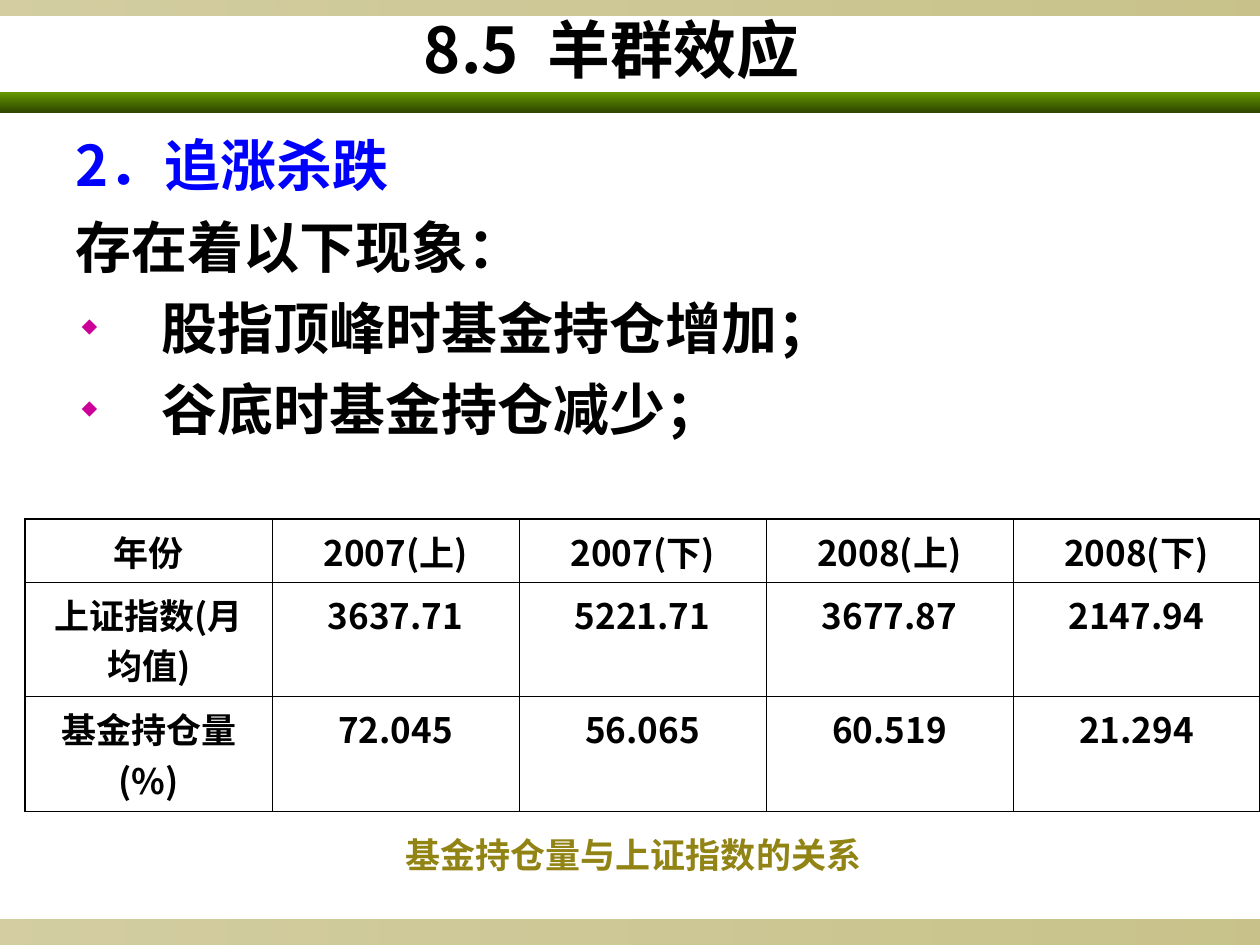
import pptx
import pptx.util
import pptx.dml.color
import pptx.enum.shapes
import pptx.enum.text
import pptx.oxml
import pptx.oxml.ns
from lxml import etree

Inches, Pt, qn = pptx.util.Inches, pptx.util.Pt, pptx.oxml.ns.qn
ALIGN = pptx.enum.text.PP_ALIGN
ANCHOR = pptx.enum.text.MSO_ANCHOR
FONT = "Noto Sans CJK SC"
BLACK, BLUE, OLIVE, MAGENTA = "000000", "0000FF", "918415", "CC0099"

RECORDS = [
    ["年份", "2007(上)", "2007(下)", "2008(上)", "2008(下)"],
    ["上证指数(月均值)", "3637.71", "5221.71", "3677.87", "2147.94"],
    ["基金持仓量(%)", "72.045", "56.065", "60.519", "21.294"],
]


def color(hex_code):
    return pptx.dml.color.RGBColor.from_string(hex_code)


def add_run(paragraph, text, size, hex_code=BLACK):
    run = paragraph.add_run()
    run.text = text
    run.font.size = Pt(size)
    run.font.bold = True
    run.font.name = FONT
    run.font.color.rgb = color(hex_code)
    east_asian = etree.SubElement(run.font._element, qn("a:ea"))
    east_asian.set("typeface", FONT)


def add_text_frame(slide, box, anchor, wrap=True):
    frame = slide.shapes.add_textbox(*map(Inches, box)).text_frame
    frame.word_wrap = wrap
    frame.vertical_anchor = anchor
    return frame


def add_band(slide, box, stops, angle, opacities=()):
    """Full-width strip with a two-colour gradient."""
    band = slide.shapes.add_shape(
        pptx.enum.shapes.MSO_SHAPE.RECTANGLE, *map(Inches, box))
    band.shadow.inherit = False
    band.line.fill.background()
    band.fill.gradient()
    band.fill.gradient_angle = angle
    for stop, hex_code in zip(band.fill.gradient_stops, stops):
        stop.color.rgb = color(hex_code)
    stop_colors = band._element.spPr.iter(qn("a:srgbClr"))
    for stop_color, percent in zip(stop_colors, opacities):
        etree.SubElement(stop_color, qn("a:alpha")).set("val", str(percent * 1000))


def add_title(slide, box):
    title = add_text_frame(slide, box, ANCHOR.MIDDLE).paragraphs[0]
    title.alignment = ALIGN.CENTER
    add_run(title, "8.5  羊群效应", 36)


def add_bullet(paragraph, margin, hanging):
    properties = paragraph._p.get_or_add_pPr()
    properties.set("marL", str(Inches(margin)))
    properties.set("indent", str(-Inches(hanging)))
    bullet_color = etree.SubElement(properties, qn("a:buClr"))
    etree.SubElement(bullet_color, qn("a:srgbClr")).set("val", MAGENTA)
    etree.SubElement(properties, qn("a:buSzPct")).set("val", "28000")
    etree.SubElement(properties, qn("a:buFont")).set("typeface", FONT)
    etree.SubElement(properties, qn("a:buChar")).set("char", "◆")


def add_body(slide, box):
    frame = add_text_frame(slide, box, ANCHOR.TOP)
    lines = [
        ("2．追涨杀跌", BLUE, False),
        ("存在着以下现象：", BLACK, False),
        ("股指顶峰时基金持仓增加；", BLACK, True),
        ("谷底时基金持仓减少；", BLACK, True),
    ]
    for index, (text, hex_code, bulleted) in enumerate(lines):
        paragraph = frame.add_paragraph() if index else frame.paragraphs[0]
        if bulleted:
            add_bullet(paragraph, 0.68, 0.63)
        if index:
            paragraph.space_before = Pt(8)
        add_run(paragraph, text, 32, hex_code)


def set_borders(cell, widths):
    properties = cell._tc.get_or_add_tcPr()
    for side, width in widths.items():
        line = etree.SubElement(properties, qn(f"a:ln{side}"))
        line.set("w", str(Pt(width)))
        fill = etree.SubElement(line, qn("a:solidFill"))
        etree.SubElement(fill, qn("a:srgbClr")).set("val", BLACK)


def add_holdings_table(slide, box, row_heights):
    last_row, last_column = len(RECORDS) - 1, len(RECORDS[0]) - 1
    table = slide.shapes.add_table(
        last_row + 1, last_column + 1, *map(Inches, box)).table
    table.first_row = table.horz_banding = False
    outer, inner = 1.08, 0.45
    for row, (record, height) in enumerate(zip(RECORDS, row_heights)):
        table.rows[row].height = Inches(height)
        for column, text in enumerate(record):
            cell = table.cell(row, column)
            set_borders(cell, {
                "L": outer if column == 0 else inner,
                "R": outer if column == last_column else inner,
                "T": outer if row == 0 else inner,
                "B": outer if row == last_row else inner,
            })
            cell.fill.background()
            paragraph = cell.text_frame.paragraphs[0]
            paragraph.alignment = ALIGN.CENTER
            add_run(paragraph, text, 20)


def add_caption(slide, box):
    caption = add_text_frame(slide, box, ANCHOR.MIDDLE, wrap=False)
    caption.margin_right = Inches(0.04)
    add_run(caption.paragraphs[0], "基金持仓量与上证指数的关系", 20, OLIVE)


def main():
    presentation = pptx.Presentation()
    presentation.slide_width = Inches(10)
    presentation.slide_height = Inches(7.5)
    slide = presentation.slides.add_slide(presentation.slide_layouts[6])

    # Edge bands
    for box in ((0, 7.3, 10, 0.2), (0, 0, 10, 0.12)):
        add_band(slide, box, (OLIVE, OLIVE), 0, (40, 50))

    # Content
    add_body(slide, (0.5, 0.99, 8.52, 2.9))
    add_holdings_table(slide, (0.2, 4.12, 9.8, 2.32), (0.5, 0.91, 0.91))

    # Heading, with its green rule
    add_band(slide, (0, 0.73, 10, 0.16), ("669900", "2F4700"), 270)
    add_title(slide, (0.32, -0.03, 9.07, 0.82))

    add_caption(slide, (3.12, 6.57, 3.9, 0.43))
    presentation.save("out.pptx")


if __name__ == "__main__":
    main()
